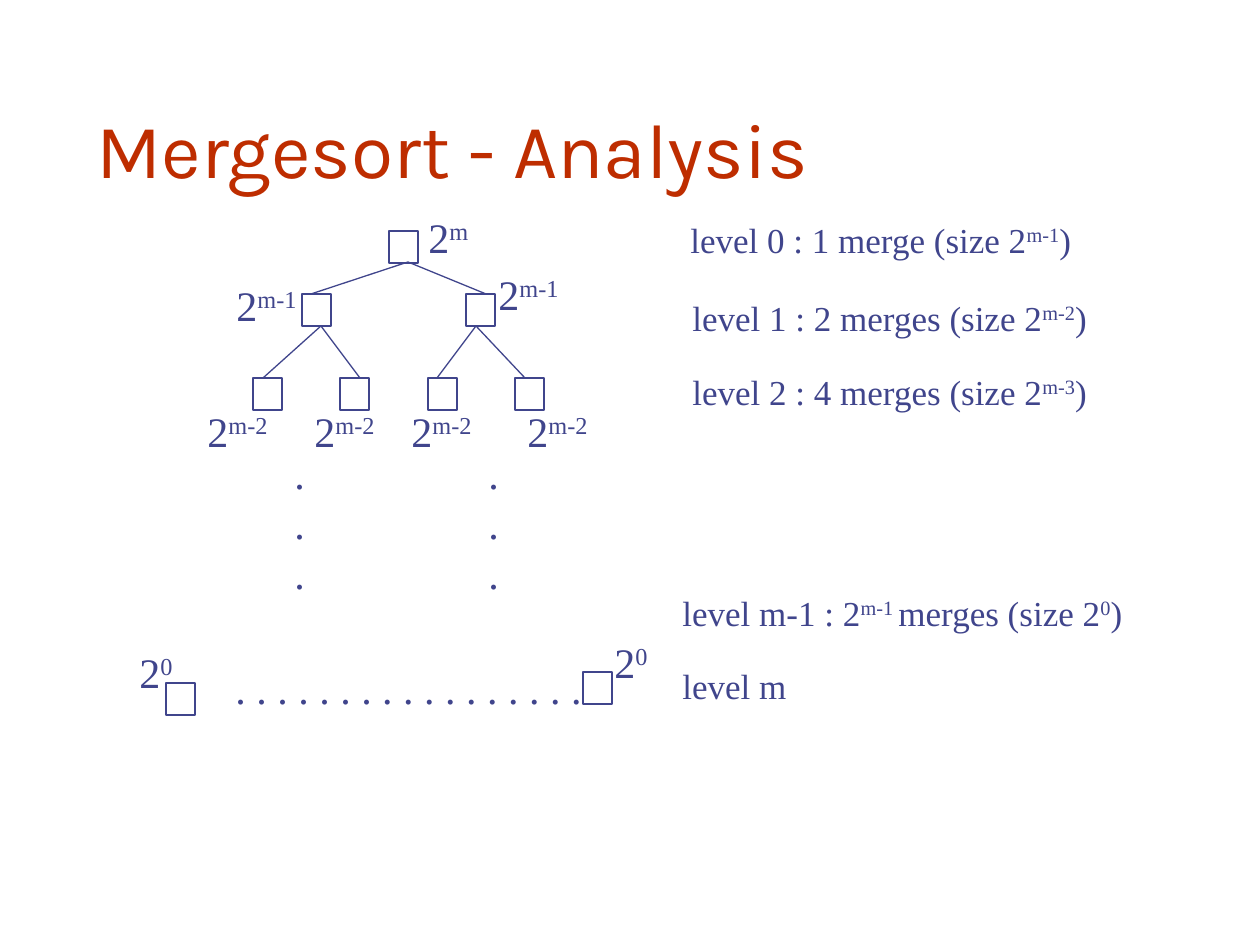
"""Build the Mergesort analysis slide: a merge tree with its level counts."""
from lxml.etree import SubElement
from pptx import Presentation
from pptx.dml.color import RGBColor
from pptx.enum.shapes import MSO_CONNECTOR as Link, MSO_SHAPE as Shape
from pptx.enum.text import MSO_ANCHOR as Anchor, MSO_AUTO_SIZE as Fit, PP_ALIGN as Align
from pptx.oxml.ns import qn
from pptx.util import Emu, Pt

RED = RGBColor(0xBE, 0x2D, 0x00)
BLUE = RGBColor(0x40, 0x45, 0x8C)
WHITE = RGBColor(0xFF, 0xFF, 0xFF)
SERIF = "Times New Roman"
BOX_W, BOX_H = 29, 32

TITLE = "Mergesort - Analysis"
ROOT = (389, 231)
NODES = [(302, 294), (466, 294)]
LEAVES = [(253 + round(87.33 * i), 378) for i in range(4)]
ENDS = [(583, 672), (166, 683)]
FORKS = [
    ((408, 262), [(311, 294), (486, 294)]),
    ((321, 326), [(263, 378), (360, 378)]),
    ((476, 326), [(437, 378), (525, 378)]),
]
DOTS = [
    (282, 441, 35, 164, [["."]] * 3),
    (476, 441, 35, 164, [["."]] * 3),
    (223, 656, 372, 63, [[". . . . . . . . . . . . . . . . ."]]),
]
SIZES = [
    (416, 205, 68, "m"),
    (224, 273, 92, "m-1"),
    (486, 262, 92, "m-1"),
    (195, 399, 92, "m-2"),
    (302, 399, 92, "m-2"),
    (399, 399, 92, "m-2"),
    (515, 399, 92, "m-2"),
    (127, 640, 60, "0"),
    (602, 630, 60, "0"),
]
LEVELS = [
    (678, 212, 418, ["level 0 : 1 merge (size 2", "m-1", ")"]),
    (680, 290, 432, ["level 1 : 2 merges (size 2", "m-2", ")"]),
    (680, 364, 432, ["level 2 : 4 merges (size 2", "m-3", ")"]),
    (670, 658, 129, ["level m"]),
    (670, 585, 479, ["level m-1 : 2", "m-1 ", "merges (size 2", "0", ")"]),
]


def px(*nums):
    return [Emu(round(n * 914400 / 126)) for n in nums]


def add_run(para, text, size, font, color):
    run = para.add_run()
    run.text = text
    run.font.size = Pt(size)
    run.font.name = font
    run.font.color.rgb = color
    return run


def add_text(slide, left, top, width, height, lines, size):
    """Place lines of runs in which every second run is raised."""
    frame = slide.shapes.add_textbox(*px(left, top, width, height)).text_frame
    frame.word_wrap = False
    frame.auto_size = Fit.SHAPE_TO_FIT_TEXT
    for i, line in enumerate(lines):
        para = frame.add_paragraph() if i else frame.paragraphs[0]
        for j, text in enumerate(line):
            run = add_run(para, text, size, SERIF, BLUE)
            if j % 2:
                run.font._element.set("baseline", "30000")


def add_box(slide, left, top):
    box = slide.shapes.add_shape(Shape.RECTANGLE, *px(left, top, BOX_W, BOX_H))
    box.shadow.inherit = False
    box.fill.solid()
    box.fill.fore_color.rgb = WHITE
    box.line.color.rgb = BLUE
    box.line.width = Pt(0.75)


def add_line(slide, start, end):
    line = slide.shapes.add_connector(Link.STRAIGHT, *px(*start, *end))
    line.line.color.rgb = BLUE
    line.line.width = Pt(0.75)
    SubElement(line._element.spPr, qn("a:effectLst"))


def add_title(slide):
    title = slide.shapes.title
    title.left, title.top, title.width, title.height = px(84, 42, 1071, 158)
    frame = title.text_frame
    frame.vertical_anchor = Anchor.BOTTOM
    para = frame.paragraphs[0]
    para.alignment = Align.LEFT
    add_run(para, TITLE, 44, "Karla", RED)


def main():
    deck = Presentation()
    deck.slide_width, deck.slide_height = px(1260, 945)
    slide = deck.slides.add_slide(deck.slide_layouts[5])
    add_title(slide)
    for spot in [ROOT, *NODES, *LEAVES, *ENDS]:
        add_box(slide, *spot)
    for start, tips in FORKS:
        for tip in tips:
            add_line(slide, start, tip)
    for left, top, width, height, lines in DOTS:
        add_text(slide, left, top, width, height, lines, 24)
    for left, top, width, power in SIZES:
        add_text(slide, left, top, width, 63, [["2", power]], 24)
    for left, top, width, runs in LEVELS:
        add_text(slide, left, top, width, 54, [runs], 20)
    deck.save("out.pptx")


if __name__ == "__main__":
    main()
